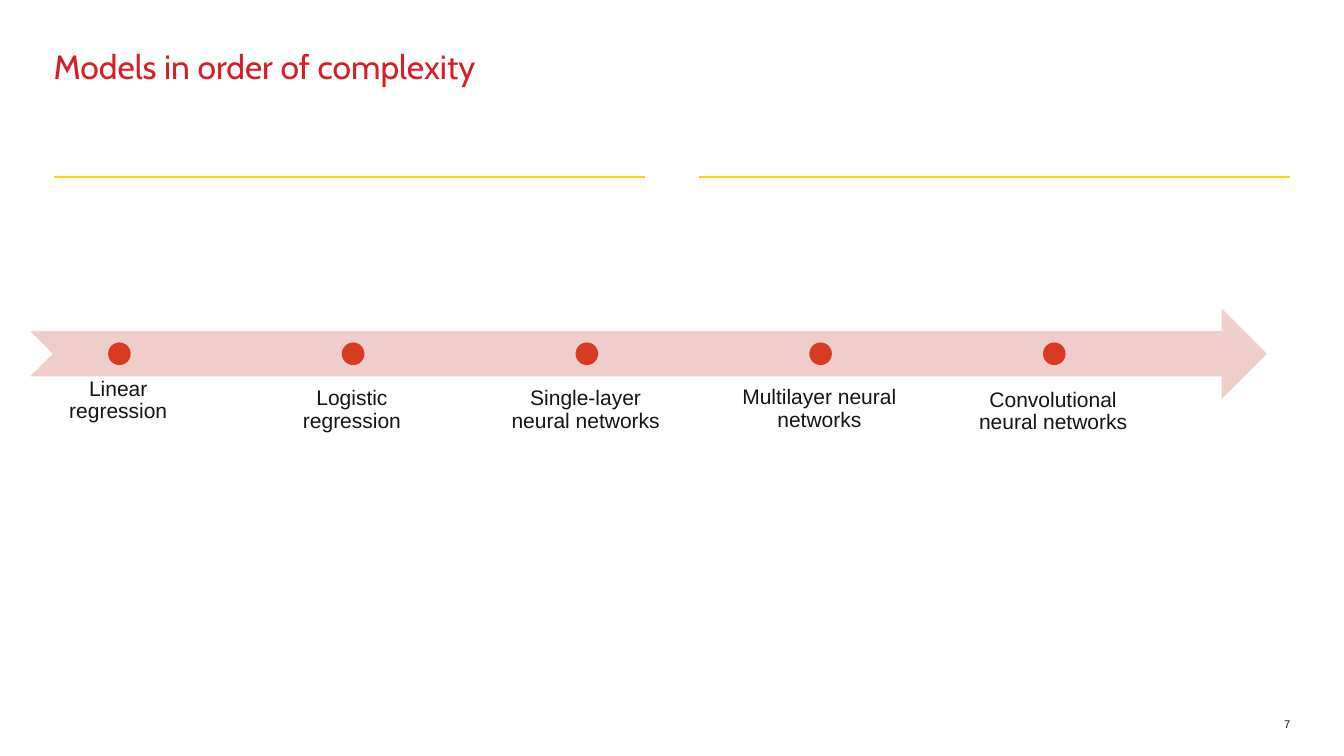
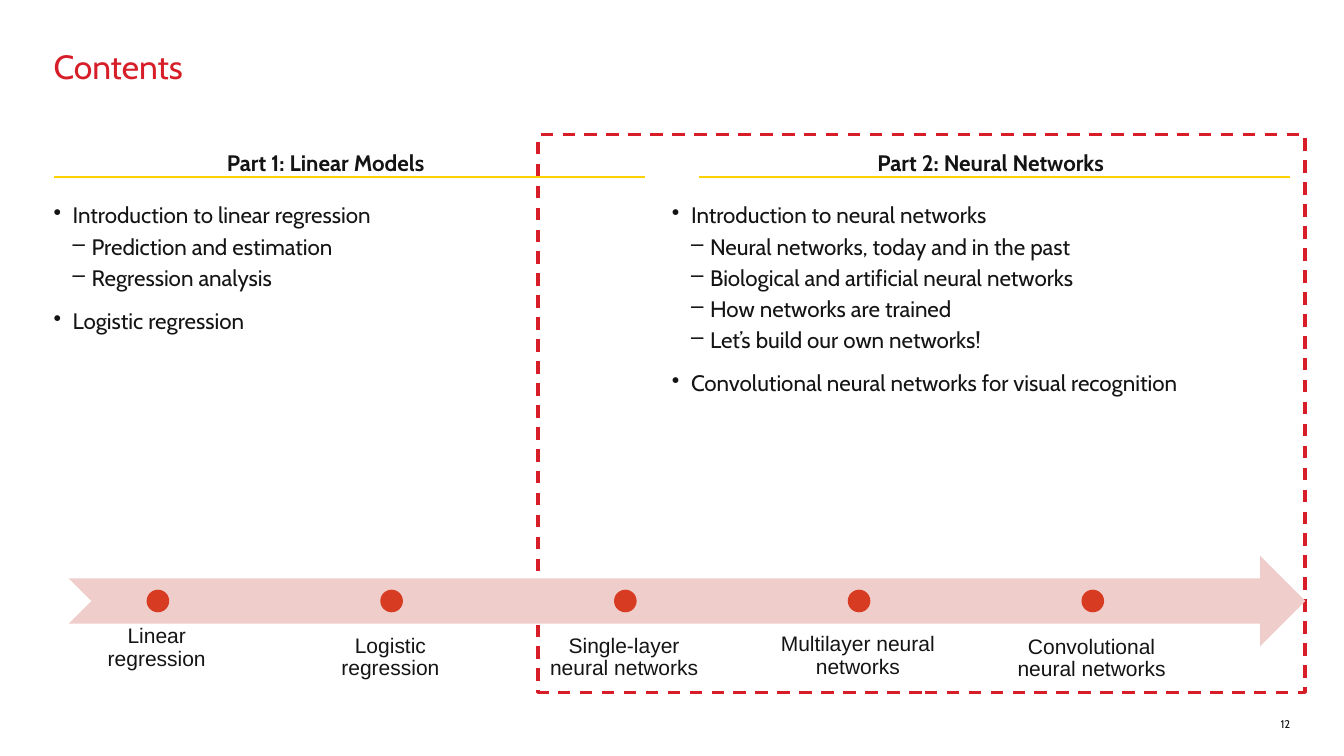
from dataclasses import dataclass

from lxml import etree
from pptx import Presentation
from pptx.dml.color import RGBColor
from pptx.enum import dml, shapes, text
from pptx.oxml import ns
from pptx.util import Cm, Pt


@dataclass(frozen=True)
class Theme:
    red: str = "D71E28"
    yellow: str = "FFD100"
    pink: str = "EFCDCB"
    dot: str = "D73C23"
    ink: str = "141414"
    heading_font: str = "Cabin"
    label_font: str = "Arial"
    title_size: float = 24
    body_size: float = 16
    label_size: float = 15
    number_size: float = 8


THEME = Theme()

# Shared measures in centimetres
PAGE_WIDTH, PAGE_HEIGHT = 33.87, 19.05
MARGIN = 1.35
CONTENT_WIDTH = PAGE_WIDTH - 2 * MARGIN
RULE_WIDTH = (CONTENT_WIDTH - MARGIN) / 2
RULE_TOP = 4.45
INDENT = 0.48

# Timeline measures, relative to the arrow
ARROW_HEIGHT = 2.29
FIRST_DOT, DOT_PITCH, DOT_SIZE = 2.25, 5.89, 0.57
LABEL_WIDTH, LABEL_HEIGHT = 4.51, 2.29

TOP, BOTTOM = text.MSO_ANCHOR.TOP, text.MSO_ANCHOR.BOTTOM
CENTER, RIGHT = text.PP_ALIGN.CENTER, text.PP_ALIGN.RIGHT

# Label, distance below the arrow's top, anchor
MODELS = [
    ("Linear regression", 0.91, BOTTOM),
    ("Logistic regression", 1.7, TOP),
    ("Single-layer neural networks", 1.7, TOP),
    ("Multilayer neural networks", 1.12, BOTTOM),
    ("Convolutional neural networks", 1.73, TOP),
]

# Heading, then (level, text) for each bullet
PARTS = [
    ("Part 1: Linear Models", [
        (0, "Introduction to linear regression"),
        (1, "Prediction and estimation"),
        (1, "Regression analysis"),
        (0, "Logistic regression"),
    ]),
    ("Part 2: Neural Networks", [
        (0, "Introduction to neural networks"),
        (1, "Neural networks, today and in the past"),
        (1, "Biological and artificial neural networks"),
        (1, "How networks are trained"),
        (1, "Let’s build our own networks!"),
        (0, "Convolutional neural networks for visual recognition"),
    ]),
]


def color(value):
    return RGBColor.from_string(value)


def place(left, top, width, height):
    return Cm(left), Cm(top), Cm(width), Cm(height)


def write(para, content, size=THEME.body_size, font=THEME.heading_font,
          ink=THEME.ink, bold=False, align=None, spacing=None, before=None):
    """Put one formatted span into a paragraph."""
    span = para.add_run()
    span.text = content
    span.font.name = font
    span.font.size = Pt(size)
    span.font.bold = bold
    span.font.color.rgb = color(ink)
    para.alignment = align
    para.line_spacing = spacing
    if before is not None:
        para.space_before = Pt(before)


def prepare_frame(box, anchor=TOP, inset=0):
    frame = box.text_frame
    frame.word_wrap = True
    frame.auto_size = text.MSO_AUTO_SIZE.NONE
    frame.vertical_anchor = anchor
    frame.margin_left = frame.margin_right = Cm(inset)
    frame.margin_top = frame.margin_bottom = Cm(inset)
    return frame


def add_text(page, area, content, anchor=TOP, inset=0, **style):
    frame = prepare_frame(page.shapes.add_textbox(*place(*area)), anchor, inset)
    write(frame.paragraphs[0], content, **style)


def add_shape(page, preset, area, fill=None, line=None):
    shape = page.shapes.add_shape(preset, *place(*area))
    shape.shadow.inherit = False
    if fill:
        shape.fill.solid()
        shape.fill.fore_color.rgb = color(fill)
    else:
        shape.fill.background()
    if line:
        shape.line.color.rgb = color(line)
        shape.line.width = Pt(2.25)
        shape.line.dash_style = dml.MSO_LINE.DASH
    else:
        shape.line.fill.background()


def add_rule(page, left):
    rule = page.shapes.add_connector(
        shapes.MSO_CONNECTOR.STRAIGHT,
        Cm(left), Cm(RULE_TOP), Cm(left + RULE_WIDTH), Cm(RULE_TOP))
    rule.line.color.rgb = color(THEME.yellow)
    rule.line.width = Pt(1.5)
    etree.SubElement(rule._element.spPr, ns.qn("a:effectLst"))


def add_bullets(page, area, items):
    frame = prepare_frame(page.shapes.add_textbox(*place(*area)))
    for index, (level, content) in enumerate(items):
        para = frame.add_paragraph() if index else frame.paragraphs[0]
        write(para, content, before=3 if level else 12)
        para.level = level
        properties = para._p.get_or_add_pPr()
        properties.set("marL", str(Cm(INDENT * (level + 1))))
        properties.set("indent", str(-Cm(INDENT)))
        bullet = etree.SubElement(properties, ns.qn("a:buChar"))
        bullet.set("char", "–" if level else "•")


def add_page(deck, title, number, number_font):
    """Add a page with its rules, title and page number."""
    page = deck.slides.add_slide(deck.slide_layouts[5])
    for column in range(2):
        add_rule(page, MARGIN + column * (RULE_WIDTH + MARGIN))

    box = page.shapes.title
    box.left, box.top, box.width, box.height = place(
        MARGIN, 1.27, CONTENT_WIDTH, 2.79)
    write(prepare_frame(box).paragraphs[0], title, size=THEME.title_size,
          ink=THEME.red, align=text.PP_ALIGN.LEFT, spacing=0.9)

    add_text(page, (PAGE_WIDTH - 2 * MARGIN, 17.78, MARGIN, 0.64), number,
             anchor=BOTTOM, size=THEME.number_size, font=number_font,
             align=RIGHT)
    return page


def add_timeline(page, left, top):
    """Draw the arrow with one dot and label for each model."""
    add_shape(page, shapes.MSO_SHAPE.NOTCHED_RIGHT_ARROW,
              (left, top, CONTENT_WIDTH, ARROW_HEIGHT), fill=THEME.pink)
    dot_top = top + (ARROW_HEIGHT - DOT_SIZE) / 2
    for index, (label, drop, anchor) in enumerate(MODELS):
        center = left + FIRST_DOT + index * DOT_PITCH
        add_text(page,
                 (center - LABEL_WIDTH / 2 - 0.03, top + drop,
                  LABEL_WIDTH, LABEL_HEIGHT),
                 label, anchor=anchor, inset=0.3, size=THEME.label_size,
                 font=THEME.label_font, align=CENTER, spacing=0.9)
        add_shape(page, shapes.MSO_SHAPE.OVAL,
                  (center - DOT_SIZE / 2, dot_top, DOT_SIZE, DOT_SIZE),
                  fill=THEME.dot)


def add_models_page(deck):
    page = add_page(deck, "Models in order of complexity", "7",
                    THEME.label_font)
    add_timeline(page, 0.76, 7.77)


def add_contents_page(deck):
    page = add_page(deck, "Contents", "12", THEME.heading_font)
    column_pitch = CONTENT_WIDTH / 2
    for column, (heading, items) in enumerate(PARTS):
        add_bullets(page, (MARGIN + column * column_pitch, 5.08,
                           column_pitch - 1, 8), items)
        add_text(page, (3.53 + column * 16.76, 3.76, 9.35, 0.61), heading,
                 bold=True, align=CENTER, before=12)
    # Frame around the second part
    add_shape(page, shapes.MSO_SHAPE.RECTANGLE, (13.56, 3.4, 19.33, 14.05),
              line=THEME.red)
    add_timeline(page, 1.73, 14)


def main():
    deck = Presentation()
    deck.slide_width, deck.slide_height = Cm(PAGE_WIDTH), Cm(PAGE_HEIGHT)
    add_models_page(deck)
    add_contents_page(deck)
    deck.save("out.pptx")


if __name__ == "__main__":
    main()
